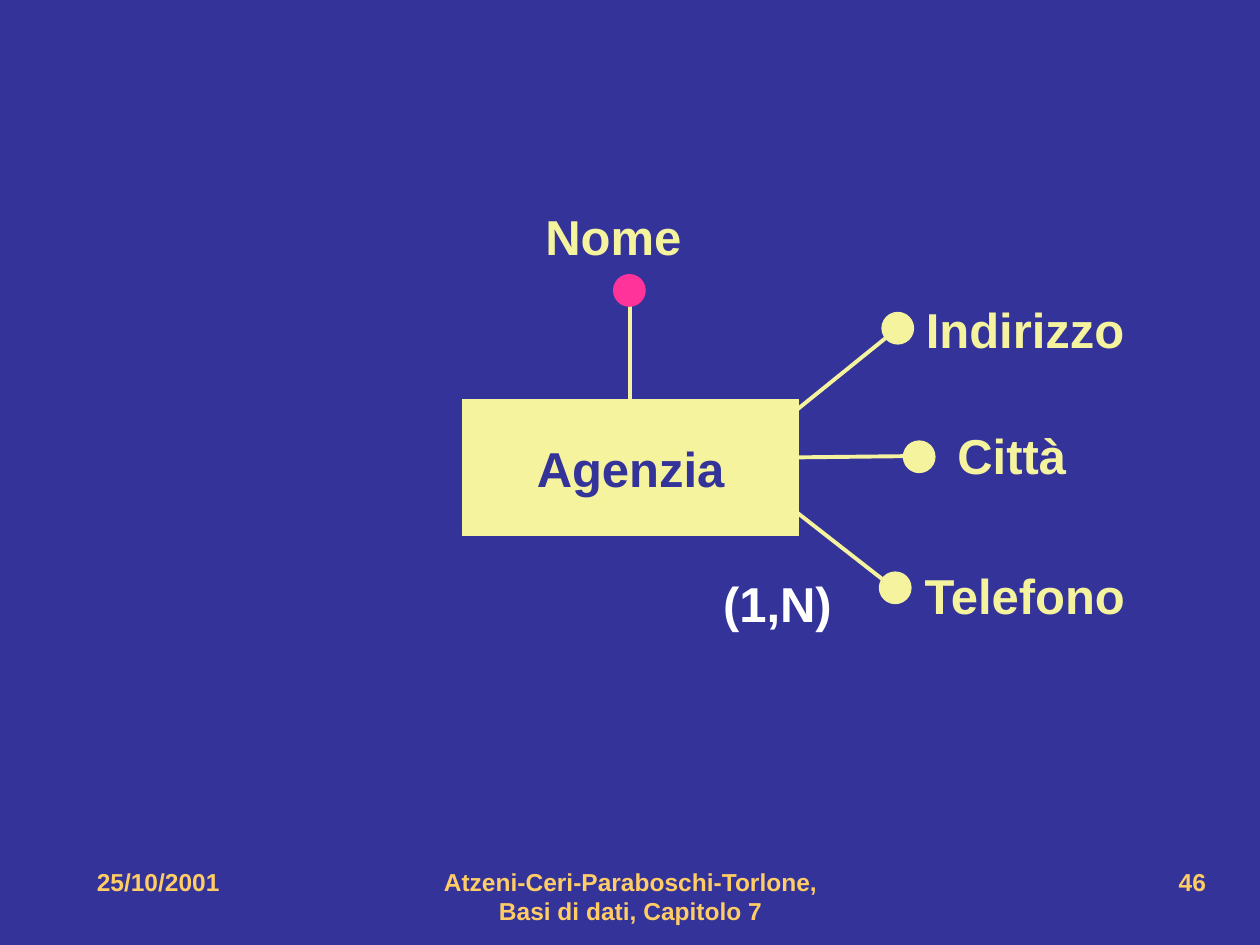
from lxml.etree import SubElement
from pptx import Presentation
from pptx.dml.color import RGBColor
from pptx.enum.shapes import MSO_CONNECTOR, MSO_SHAPE
from pptx.enum.text import MSO_ANCHOR, PP_ALIGN
from pptx.oxml.ns import qn
from pptx.util import Inches, Pt

COLORS = {
    "background": "333399",
    "cream": "F5F39D",
    "identifier": "FF3399",
    "cardinality": "FFFFFF",
    "footer": "FFCC66",
}
DOT_SIZE = 0.25
LABEL_HEIGHT = 0.57


def rgb(name):
    return RGBColor.from_string(COLORS[name])


def write_text(frame, text, size=28, color="cream", align=PP_ALIGN.LEFT,
               anchor=MSO_ANCHOR.TOP, wrap=False):
    frame.word_wrap = wrap
    frame.vertical_anchor = anchor
    paragraph = frame.paragraphs[0]
    paragraph.alignment = align
    run = paragraph.add_run()
    run.text = text
    run.font.name = "Arial"
    run.font.size = Pt(size)
    run.font.bold = True
    run.font.color.rgb = rgb(color)


def add_label(slide, text, left, top, width, height=LABEL_HEIGHT, **text_format):
    label = slide.shapes.add_textbox(
        Inches(left), Inches(top), Inches(width), Inches(height))
    write_text(label.text_frame, text, **text_format)


def add_solid(slide, preset, left, top, width, height, color="cream"):
    solid = slide.shapes.add_shape(
        preset, Inches(left), Inches(top), Inches(width), Inches(height))
    solid.shadow.inherit = False
    solid.fill.solid()
    solid.fill.fore_color.rgb = rgb(color)
    solid.line.color.rgb = rgb(color)
    solid.line.width = Pt(0.75)
    return solid


def add_link(slide, start, end):
    link = slide.shapes.add_connector(
        MSO_CONNECTOR.STRAIGHT, *(Inches(value) for value in start + end))
    link.line.color.rgb = rgb("cream")
    link.line.width = Pt(2.25)
    SubElement(link._element.spPr, qn("a:effectLst"))


def add_attribute(slide, name, label_box, link, dot, color="cream"):
    add_link(slide, *link)
    add_solid(slide, MSO_SHAPE.OVAL, *dot, DOT_SIZE, DOT_SIZE, color)
    add_label(slide, name, *label_box)


def add_entity(slide, name):
    entity = add_solid(slide, MSO_SHAPE.RECTANGLE, 3.67, 3.17, 2.67, 1.08)
    write_text(entity.text_frame, name, color="background",
               align=PP_ALIGN.CENTER, anchor=MSO_ANCHOR.MIDDLE)


def add_footer(slide):
    for text, left, width, align in (
        ("Atzeni-Ceri-Paraboschi-Torlone, Basi di dati, Capitolo 7",
         3.42, 3.17, PP_ALIGN.CENTER),
        ("46", 7.17, 2.5, PP_ALIGN.RIGHT),
        ("25/10/2001", 0.67, 2.17, PP_ALIGN.LEFT),
    ):
        add_label(slide, text, left, 6.83, width, 0.5,
                  size=14, color="footer", align=align, wrap=True)


def main():
    presentation = Presentation()
    presentation.slide_width = Inches(10)
    presentation.slide_height = Inches(7.5)
    slide = presentation.slides.add_slide(presentation.slide_layouts[6])
    slide.background.fill.solid()
    slide.background.fill.fore_color.rgb = rgb("background")

    add_entity(slide, "Agenzia")
    add_attribute(slide, "Indirizzo", (7.25, 2.33, 1.82),
                  ((6.29, 3.28), (7.07, 2.65)), (7, 2.48))
    add_attribute(slide, "Città", (7.5, 3.33, 1.08),
                  ((7.24, 3.62), (6.33, 3.63)), (7.17, 3.5))
    add_attribute(slide, "Telefono", (7.24, 4.44, 1.84),
                  ((6.29, 4.04), (7.02, 4.61)), (6.98, 4.54))
    add_attribute(slide, "Nome", (4.23, 1.59, 1.3),
                  ((5, 2.42), (5, 3.17)), (4.87, 2.18), color="identifier")
    add_label(slide, "(1,N)", 5.63, 4.5, 1.08, color="cardinality",
              align=PP_ALIGN.CENTER, anchor=MSO_ANCHOR.MIDDLE)
    add_footer(slide)

    presentation.save("out.pptx")


if __name__ == "__main__":
    main()
